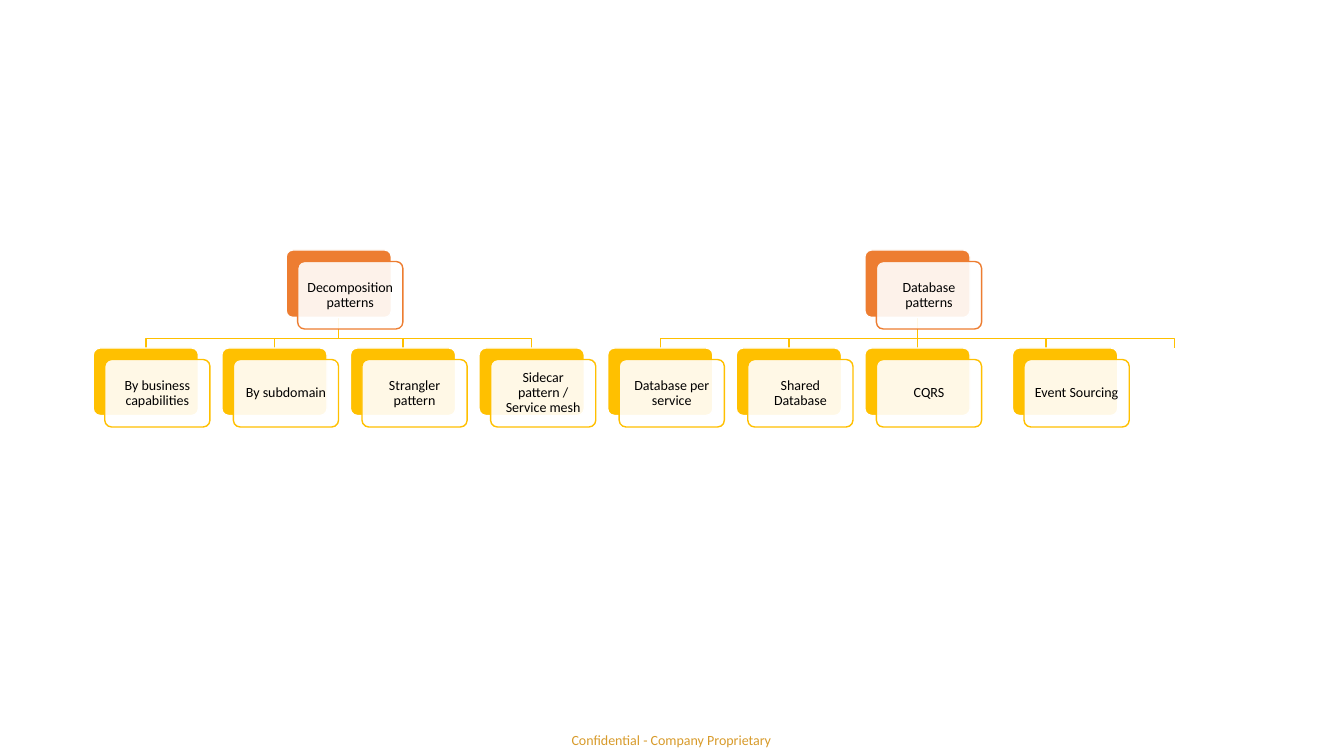
from lxml.etree import SubElement
from pptx import Presentation
from pptx.dml.color import RGBColor
from pptx.enum.shapes import MSO_CONNECTOR, MSO_SHAPE
from pptx.enum.text import MSO_ANCHOR, MSO_AUTO_SIZE, PP_ALIGN
from pptx.oxml.ns import qn
from pptx.util import Cm, Pt

TREES = [
    {"name": "Decomposition patterns", "col": 1.5, "ends": [3, 2, 1, 0],
     "kids": [("By business capabilities", 0, 0), ("By subdomain", 1, 0),
              ("Strangler pattern", 2, 0),
              ("Sidecar pattern / Service mesh", 3, 0)]},
    {"name": "Database patterns", "col": 6, "ends": [8, 7, 6, 5, 4],
     "kids": [("Database per service", 4, 0), ("Shared Database", 5, 0),
              ("CQRS", 6, 0), ("Event Sourcing", 7, 0.48)]},
]
FOOTER = "Confidential - Company Proprietary"
COLORS = {"root": "ED7D31", "leaf": "FFC000", "card": "FFFFFF",
          "text": "000000", "footer": "D89B2B"}
LEFT, PITCH = 2.35, 3.24
WIDTH, HEIGHT, SHIFT = 2.65, 1.7, 0.29
ROOT_TOP, LEAF_TOP, BEND = 6.3, 8.77, 8.53
FONT = {"name": "Calibri", "size": Pt(10)}
MARGINS = ("margin_left", "margin_right", "margin_top", "margin_bottom")
CARD = {"word_wrap": True, "vertical_anchor": MSO_ANCHOR.MIDDLE,
        **dict.fromkeys(MARGINS, Cm(0.15))}
NOTE = {"word_wrap": False, "auto_size": MSO_AUTO_SIZE.SHAPE_TO_FIT_TEXT,
        **dict.fromkeys(MARGINS, 0)}


def apply(target, values):
    for key, value in values.items():
        setattr(target, key, value)


def color(key):
    return RGBColor.from_string(COLORS[key])


def stroke(shape, key):
    shape.line.color.rgb = color(key)
    shape.line.width = Pt(1)


def write(shape, text, key, frame, para):
    box = shape.text_frame
    apply(box, frame)
    line = box.paragraphs[0]
    apply(line, para)
    run = line.add_run()
    run.text = text
    apply(run.font, FONT)
    run.font.color.rgb = color(key)


def panel(shapes, left, top, fill, edge):
    shape = shapes.add_shape(MSO_SHAPE.ROUNDED_RECTANGLE,
                             Cm(left), Cm(top), Cm(WIDTH), Cm(HEIGHT))
    shape.adjustments[0] = 0.1
    shape.shadow.inherit = False
    shape.fill.solid()
    shape.fill.fore_color.rgb = color(fill)
    stroke(shape, edge)
    return shape


def node(shapes, text, left, top, key):
    panel(shapes, left, top, key, "card")
    front = panel(shapes, left + SHIFT, top + SHIFT, "card", key)
    tone = front.fill._xPr.find(qn("a:solidFill"))[0]
    SubElement(tone, qn("a:alpha"), val="90000")
    write(front, text, "text", CARD,
          {"alignment": PP_ALIGN.CENTER, "line_spacing": 0.9})


def place(col):
    return LEFT + PITCH * col


def branch(shapes, start, end):
    x, far = (Cm(place(col) + WIDTH / 2) for col in (start, end))
    top, bend, low = Cm(ROOT_TOP + HEIGHT), Cm(BEND), Cm(LEAF_TOP)
    if start == end:
        link = shapes.add_connector(MSO_CONNECTOR.STRAIGHT, x, top, x, low)
        SubElement(link._element.spPr, qn("a:effectLst"))
    else:
        form = shapes.build_freeform(x, top)
        form.add_line_segments([(x, bend), (far, bend), (far, low)],
                               close=False)
        link = form.convert_to_shape()
        link.shadow.inherit = False
        link.fill.background()
    stroke(link, "leaf")


def main():
    deck = Presentation()
    apply(deck, {"slide_width": Cm(33.86), "slide_height": Cm(19.05)})
    shapes = deck.slides.add_slide(deck.slide_layouts[6]).shapes
    note = shapes.add_textbox(Cm(14.4), Cm(18.44), Cm(5.13), Cm(0.43))
    write(note, FOOTER, "footer", NOTE, {})
    for tree in reversed(TREES):
        for end in tree["ends"]:
            branch(shapes, tree["col"], end)
    for tree in TREES:
        node(shapes, tree["name"], place(tree["col"]), ROOT_TOP, "root")
        for text, col, nudge in tree["kids"]:
            node(shapes, text, place(col) + nudge, LEAF_TOP, "leaf")
    deck.save("out.pptx")


if __name__ == "__main__":
    main()
